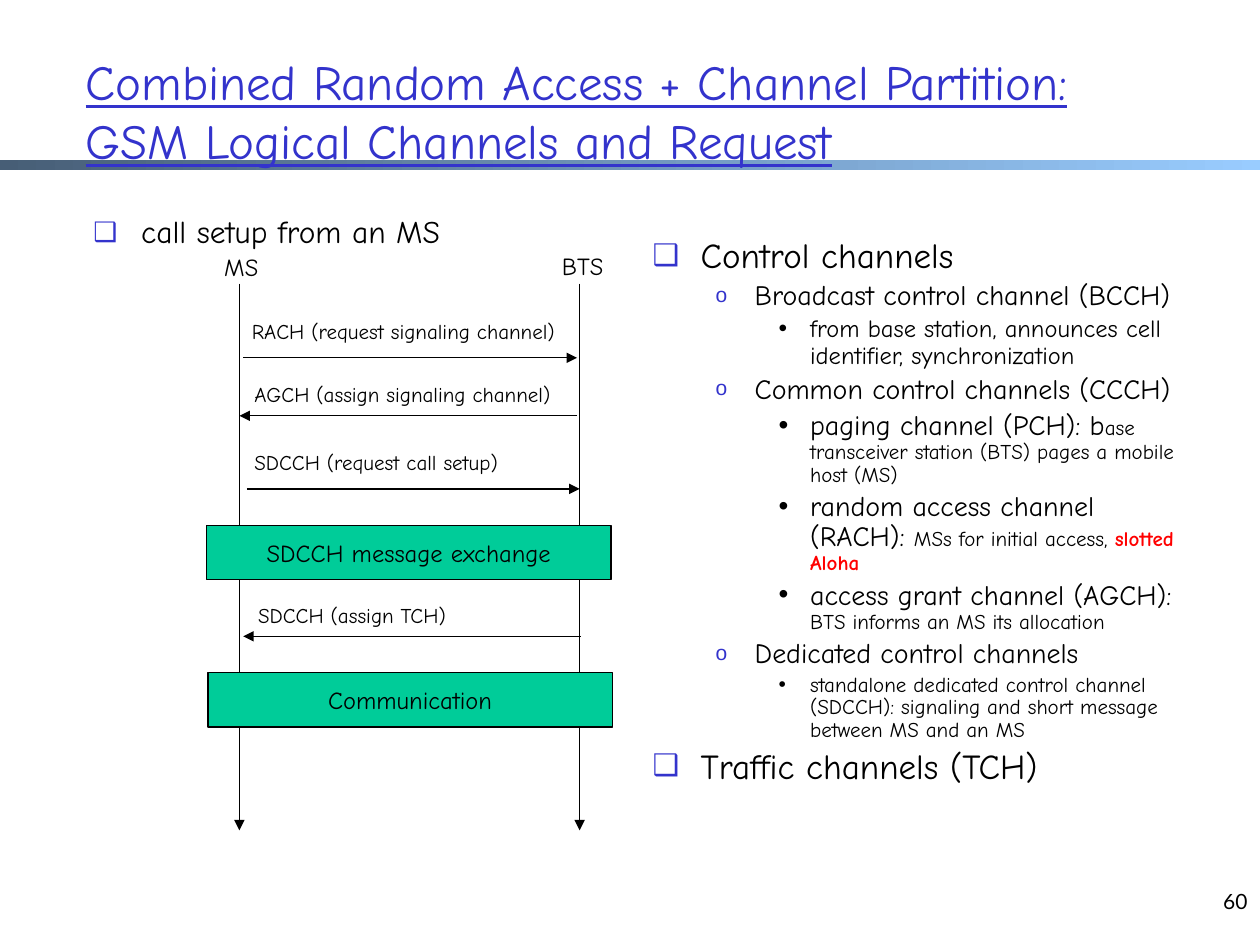
from dataclasses import dataclass

from lxml import etree
from pptx import Presentation
from pptx.dml.color import RGBColor
from pptx.enum import shapes, text
from pptx.oxml.ns import qn
from pptx.util import Inches, Pt

BLACK = RGBColor(0x00, 0x00, 0x00)
BLUE = RGBColor(0x33, 0x33, 0xCC)
RED = RGBColor(0xFF, 0x00, 0x00)
GREEN = RGBColor(0x00, 0xCC, 0x99)
BAR_DARK = RGBColor(0x47, 0x5E, 0x76)
BAR_LIGHT = RGBColor(0x99, 0xCC, 0xFF)
FONT = "Comic Neue"
MS_X, BTS_X = 1.9, 4.6


@dataclass
class Bullet:
    char: str
    left: float
    hang: float
    percent: int
    color: RGBColor


@dataclass
class Run:
    text: str
    size: int
    color: RGBColor = BLACK
    bold: bool = False


@dataclass
class Item:
    level: int
    runs: list[Run]


@dataclass
class Message:
    label: str
    label_x: float
    label_y: float
    start: float
    end: float
    y: float


@dataclass
class Phase:
    label: str
    x: float
    y: float


BULLETS = [
    Bullet("❑", 0.38, 0.38, 85, BLUE),
    Bullet("o", 0.81, 0.31, 75, BLUE),
    Bullet("•", 1.25, 0.25, 100, BLACK),
]
CHANNELS = [
    Item(0, [Run("Control channels", 20)]),
    Item(1, [Run("Broadcast control channel (BCCH)", 16)]),
    Item(2, [Run("from base station, announces cell identifier, synchronization", 14)]),
    Item(1, [Run("Common control channels (CCCH)", 16)]),
    Item(2, [Run("paging channel (PCH): b", 16),
             Run("ase transceiver station (BTS) pages a mobile host (MS)", 12)]),
    Item(2, [Run("random access channel (RACH): ", 16),
             Run("MSs for initial access, ", 12),
             Run("slotted Aloha", 12, RED, True)]),
    Item(2, [Run("access grant channel (AGCH): ", 16),
             Run("BTS informs an MS its allocation", 12)]),
    Item(1, [Run("Dedicated control channels", 16)]),
    Item(2, [Run("standalone dedicated control channel (SDCCH): signaling and "
                 "short message between MS and an MS", 12)]),
    Item(0, [Run("Traffic channels (TCH)", 20)]),
]
CALL_SETUP = [Item(0, [Run("call setup from an MS", 18)])]
MESSAGES = [
    Message("RACH (request signaling channel)", 1.9, 2.48, 1.93, 4.58, 2.84),
    Message("AGCH (assign signaling channel)", 1.92, 2.98, 4.58, MS_X, 3.3),
    Message("SDCCH (request call setup)", 1.92, 3.52, 1.96, BTS_X, 3.88),
    Message("SDCCH (assign TCH)", 1.95, 4.73, 4.61, 1.93, 5.05),
]
PHASES = [
    Phase("SDCCH message exchange", 1.64, 4.17),
    Phase("Communication", 1.65, 5.34),
]


def place(sp, x: float, y: float, w: float, h: float) -> None:
    sp.left, sp.top, sp.width, sp.height = map(Inches, (x, y, w, h))


def style(font, size: int, color: RGBColor = BLACK, name: str = FONT) -> None:
    font.name, font.size, font.color.rgb = name, Pt(size), color


def set_bullet(p, bullet: Bullet) -> None:
    ppr = p._p.get_or_add_pPr()
    ppr.set("marL", str(Inches(bullet.left)))
    ppr.set("indent", str(-Inches(bullet.hang)))
    color = etree.SubElement(ppr, qn("a:buClr"))
    etree.SubElement(color, qn("a:srgbClr"), val=str(bullet.color))
    etree.SubElement(ppr, qn("a:buSzPct"), val=str(bullet.percent * 1000))
    etree.SubElement(ppr, qn("a:buChar"), char=bullet.char)


def fill_list(sp, items: list[Item]) -> None:
    tf = sp.text_frame
    tf.auto_size = text.MSO_AUTO_SIZE.NONE
    for i, item in enumerate(items):
        p = tf.add_paragraph() if i else tf.paragraphs[0]
        p.level = item.level
        set_bullet(p, BULLETS[item.level])
        p.line_spacing = 0.9
        if i == 0:
            p.space_before = Pt(0)
        for run in item.runs:
            r = p.add_run()
            r.text = run.text
            style(r.font, run.size, run.color)
            r.font.bold = run.bold


def add_label(s, label: str, x: float, y: float, w: float, h: float, size: int,
              align=text.PP_ALIGN.LEFT, font: str = FONT) -> None:
    tf = s.shapes.add_textbox(*map(Inches, (x, y, w, h))).text_frame
    tf.text = label
    tf.word_wrap = False
    p = tf.paragraphs[0]
    p.alignment = align
    style(p.runs[0].font, size, name=font)


def add_arrow(s, x1: float, y1: float, x2: float, y2: float) -> None:
    line = s.shapes.add_connector(shapes.MSO_CONNECTOR.STRAIGHT,
                                  *map(Inches, (x1, y1, x2, y2)))
    line.line.color.rgb = BLACK
    line.line.width = Pt(0.75)
    etree.SubElement(line.line._get_or_add_ln(), qn("a:tailEnd"), type="triangle")
    etree.SubElement(line._element.spPr, qn("a:effectLst"))


def add_rect(s, x: float, y: float, w: float, h: float):
    sp = s.shapes.add_shape(shapes.MSO_SHAPE.RECTANGLE, *map(Inches, (x, y, w, h)))
    sp.shadow.inherit = False
    return sp


def add_phase(s, phase: Phase) -> None:
    sp = add_rect(s, phase.x, phase.y, 3.21, 0.43)
    sp.fill.solid()
    sp.fill.fore_color.rgb = GREEN
    sp.line.color.rgb = BLACK
    sp.line.width = Pt(0.75)
    tf = sp.text_frame
    tf.text = phase.label
    tf.word_wrap = False
    tf.vertical_anchor = text.MSO_ANCHOR.MIDDLE
    tf.paragraphs[0].alignment = text.PP_ALIGN.CENTER
    style(tf.paragraphs[0].runs[0].font, 14)


def main() -> None:
    prs = Presentation()
    prs.slide_width, prs.slide_height = Inches(10), Inches(7.5)
    s = prs.slides.add_slide(prs.slide_layouts.get_by_name("Two Content"))

    # Gradient bar, behind everything else
    bar = add_rect(s, 0, 1.27, 10, 0.08)
    bar.fill.gradient()
    bar.fill.gradient_angle = 0
    for stop, color in zip(bar.fill.gradient_stops, (BAR_DARK, BAR_LIGHT)):
        stop.color.rgb = color
    bar.line.fill.background()
    s.shapes._spTree.insert(2, bar._element)

    # Title
    title = s.shapes.title
    place(title, 0.58, 0.25, 8.78, 1.25)
    tf = title.text_frame
    tf.text = ("Combined Random Access + Channel Partition: "
               "GSM Logical Channels and Request")
    tf.auto_size = text.MSO_AUTO_SIZE.NONE
    tf.vertical_anchor = text.MSO_ANCHOR.MIDDLE
    tf.paragraphs[0].alignment = text.PP_ALIGN.LEFT
    r = tf.paragraphs[0].runs[0]
    style(r.font, 28, BLUE)
    r.font.underline = True

    # Lists
    setup, channels = s.placeholders[1], s.placeholders[2]
    place(setup, 0.64, 1.67, 4.17, 5.08)
    fill_list(setup, CALL_SETUP)
    place(channels, 5.08, 1.84, 4.37, 5.36)
    fill_list(channels, CHANNELS)

    # Sequence diagram
    for x in (MS_X, BTS_X):
        add_arrow(s, x, 2.25, x, 6.59)
    add_label(s, "MS", 1.66, 1.95, 0.51, 0.33, 14, text.PP_ALIGN.CENTER)
    add_label(s, "BTS", 4.33, 1.94, 0.59, 0.33, 14, text.PP_ALIGN.CENTER)
    for m in MESSAGES:
        add_arrow(s, m.start, m.y, m.end, m.y)
        add_label(s, m.label, m.label_x, m.label_y, 2.7, 0.3, 12)
    for phase in PHASES:
        add_phase(s, phase)

    # Slide number
    add_label(s, "60", 7.67, 7, 2.33, 0.5, 12, text.PP_ALIGN.RIGHT, "Lato")

    prs.save("out.pptx")


if __name__ == "__main__":
    main()
